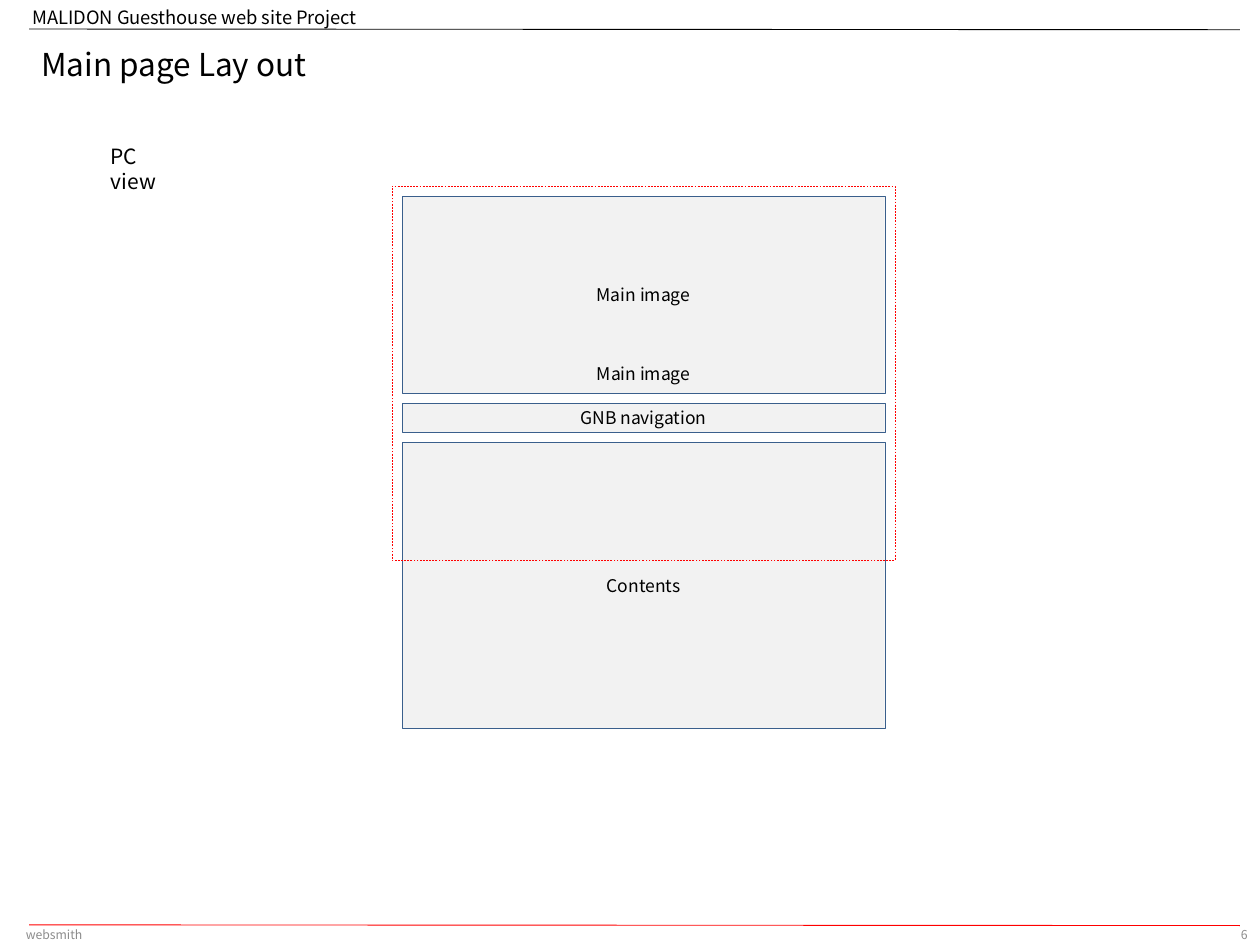
from dataclasses import dataclass

from lxml.etree import SubElement
from pptx import Presentation
from pptx.dml.color import RGBColor
from pptx.enum.dml import MSO_LINE
from pptx.enum.shapes import MSO_CONNECTOR, MSO_SHAPE
from pptx.enum.text import MSO_ANCHOR, PP_ALIGN
from pptx.oxml.ns import qn
from pptx.shapes.base import BaseShape
from pptx.slide import Slide
from pptx.util import Pt


@dataclass(frozen=True)
class Theme:
    font: str = "Noto Sans CJK KR"
    ink: RGBColor = RGBColor(0x00, 0x00, 0x00)
    muted: RGBColor = RGBColor(0x8C, 0x8C, 0x8C)
    accent: RGBColor = RGBColor(0xFF, 0x00, 0x00)
    panel: RGBColor = RGBColor(0xF2, 0xF2, 0xF2)
    border: RGBColor = RGBColor(0x3A, 0x5F, 0x8C)
    title_size: float = 18
    view_size: float = 12
    header_size: float = 10.5
    block_size: float = 10
    footer_size: float = 7
    rule_width: float = 0.5
    border_width: float = 0.25


@dataclass(frozen=True)
class Box:
    left: float
    top: float
    width: float
    height: float

    def lengths(self) -> tuple[Pt, Pt, Pt, Pt]:
        return Pt(self.left), Pt(self.top), Pt(self.width), Pt(self.height)


@dataclass(frozen=True)
class Block:
    label: str
    height: float


THEME = Theme()
BLOCKS = (
    Block("Main image", 112.3),
    Block("GNB navigation", 16.6),
    Block("Contents", 163.4),
)
BLOCK_LEFT, BLOCK_TOP, BLOCK_WIDTH, GAP = 229.8, 112.3, 275.8, 5.8
FOLD_HEIGHT = 213.8


def write(shape: BaseShape, text: str, *, size: float, color: RGBColor = THEME.ink,
          align: PP_ALIGN = PP_ALIGN.LEFT, anchor: MSO_ANCHOR = MSO_ANCHOR.TOP,
          wrap: bool = True) -> None:
    frame = shape.text_frame
    frame.word_wrap = wrap
    frame.vertical_anchor = anchor
    paragraph = frame.paragraphs[0]
    paragraph.alignment = align
    run = paragraph.add_run()
    run.text = text
    run.font.size = Pt(size)
    run.font.name = THEME.font
    run.font.color.rgb = color
    SubElement(run.font._element, qn("a:ea"), typeface=THEME.font)


def add_label(slide: Slide, box: Box, text: str, **text_format) -> None:
    write(slide.shapes.add_textbox(*box.lengths()), text, **text_format)


def add_rule(slide: Slide, top: float, color: RGBColor) -> None:
    rule = slide.shapes.add_connector(
        MSO_CONNECTOR.STRAIGHT, Pt(16.6), Pt(top), Pt(708.5), Pt(top + 0.4))
    rule.line.color.rgb = color
    rule.line.width = Pt(THEME.rule_width)
    SubElement(rule._element.spPr, qn("a:effectLst"))


def add_panel(slide: Slide, box: Box, label: str, border: RGBColor,
              fill: RGBColor | None = None, dash: MSO_LINE | None = None) -> None:
    panel = slide.shapes.add_shape(MSO_SHAPE.RECTANGLE, *box.lengths())
    panel.shadow.inherit = False
    if fill is None:
        panel.fill.background()
    else:
        panel.fill.solid()
        panel.fill.fore_color.rgb = fill
    panel.line.color.rgb = border
    panel.line.width = Pt(THEME.border_width)
    if dash is not None:
        panel.line.dash_style = dash
    write(panel, label, size=THEME.block_size, align=PP_ALIGN.CENTER,
          anchor=MSO_ANCHOR.MIDDLE)


def add_page_layout(slide: Slide) -> None:
    top = BLOCK_TOP
    for block in BLOCKS:
        add_panel(slide, Box(BLOCK_LEFT, top, BLOCK_WIDTH, block.height),
                  block.label, THEME.border, fill=THEME.panel)
        top += block.height + GAP
    fold = Box(BLOCK_LEFT - GAP, BLOCK_TOP - GAP, BLOCK_WIDTH + 2 * GAP, FOLD_HEIGHT)
    add_panel(slide, fold, "Main image", THEME.accent, dash=MSO_LINE.DASH)


def main() -> None:
    deck = Presentation()
    deck.slide_width, deck.slide_height = Pt(720), Pt(540)
    slide = deck.slides.add_slide(deck.slide_layouts[6])

    add_rule(slide, 528.5, THEME.accent)
    add_rule(slide, 16.6, THEME.ink)
    add_label(slide, Box(11.5, 0, 207.4, 20.2), "MALIDON Guesthouse web site Project",
              size=THEME.header_size, wrap=False)
    add_page_layout(slide)
    add_label(slide, Box(16.6, 22.3, 170.6, 28.8), "Main page Lay out",
              size=THEME.title_size, wrap=False)
    add_label(slide, Box(56.2, 78.5, 57.6, 21.6), "PC view", size=THEME.view_size)
    add_label(slide, Box(552.2, 528.5, 167.8, 11.5), "6", size=THEME.footer_size,
              color=THEME.muted, align=PP_ALIGN.RIGHT, anchor=MSO_ANCHOR.MIDDLE)
    add_label(slide, Box(0, 528.5, 61.9, 11.5), "websmith", size=THEME.footer_size,
              color=THEME.muted, align=PP_ALIGN.CENTER, anchor=MSO_ANCHOR.MIDDLE)

    deck.save("out.pptx")


if __name__ == "__main__":
    main()
